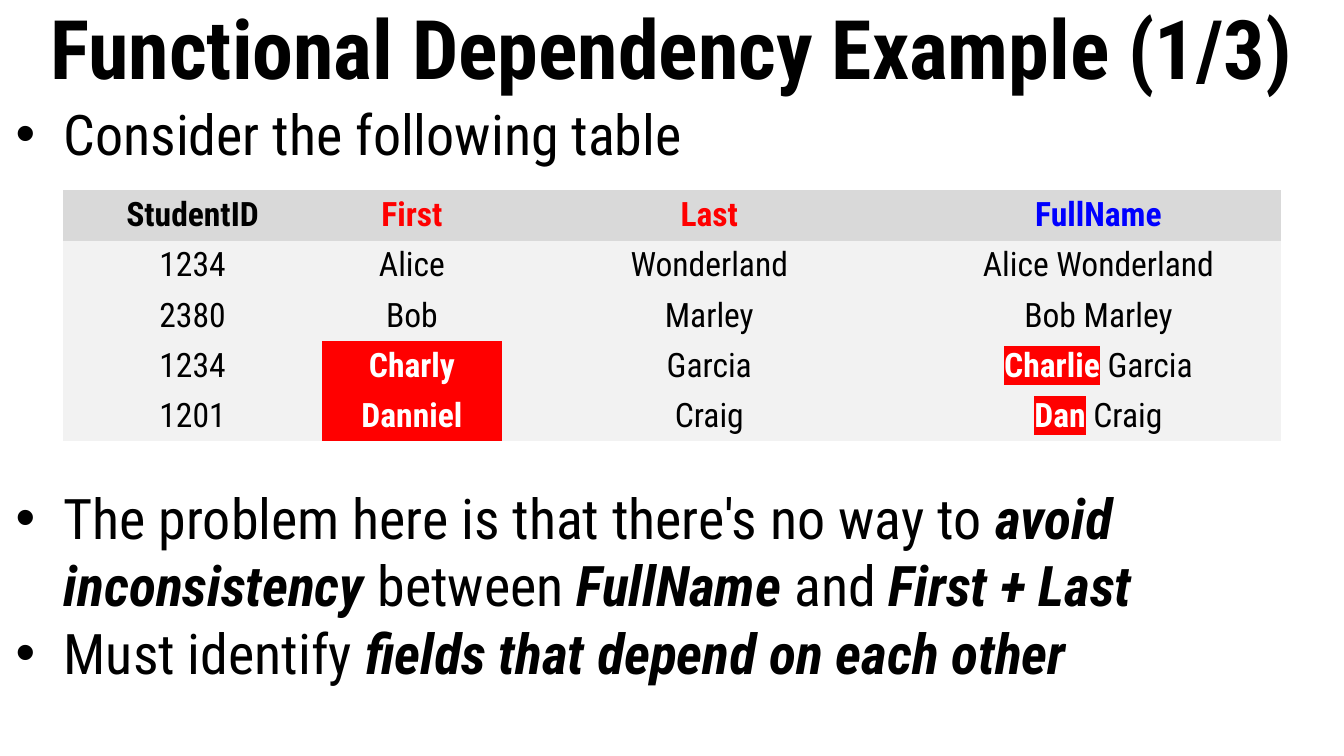
import pptx
import pptx.dml.color
import pptx.enum.text
import pptx.oxml
import pptx.oxml.ns
import pptx.util

Cm = pptx.util.Cm
Pt = pptx.util.Pt
RGB = pptx.dml.color.RGBColor
ALIGN = pptx.enum.text.PP_ALIGN
MIDDLE = pptx.enum.text.MSO_ANCHOR.MIDDLE
qn = pptx.oxml.ns.qn

FONT = "Roboto Condensed"
BLACK = RGB(0x00, 0x00, 0x00)
WHITE = RGB(0xFF, 0xFF, 0xFF)
RED = RGB(0xFF, 0x00, 0x00)
BLUE = RGB(0x00, 0x00, 0xFF)
HEAD = RGB(0xD9, 0xD9, 0xD9)
PALE = RGB(0xF2, 0xF2, 0xF2)
PLAIN = "{2D5ABB26-0587-4C30-8999-92F81FD0307C}"  # table style without grid

WIDTH, HEIGHT = 25.4, 14.29
TOP = 1.75  # height of the title band

# Each bullet: space before in points, then its pieces; odd pieces are stressed
BULLETS = [
    (0, ["Consider the following table"]),
    (170, ["The problem here is that there's no way to ", "avoid inconsistency",
           " between ", "FullName", " and ", "First + Last"]),
    (0, ["Must identify ", "fields that depend on each other"]),
]

COLS = [4.88, 3.41, 7.83, 6.88]
ROW = 0.94
FIELDS = [("StudentID", BLACK), ("First", RED), ("Last", RED), ("FullName", BLUE)]
# Full names are split into a marked part and a plain part
ROWS = [
    ("1234", "Alice", "Wonderland", ("", "Alice Wonderland")),
    ("2380", "Bob", "Marley", ("", "Bob Marley")),
    ("1234", "Charly", "Garcia", ("Charlie", " Garcia")),
    ("1201", "Danniel", "Craig", ("Dan", " Craig")),
]


def write(para, text, size=18, color=BLACK, bold=False, italic=False, mark=None):
    """Add a run of formatted text to a paragraph."""
    run = para.add_run()
    run.text = text
    font = run.font
    font.name, font.size = FONT, Pt(size)
    font.bold, font.italic = bold, italic
    font.color.rgb = color
    if mark is not None:
        light = pptx.oxml.parse_xml(
            '<a:highlight xmlns:a="http://schemas.openxmlformats.org/drawingml/2006/main">'
            f'<a:srgbClr val="{mark}"/></a:highlight>')
        run._r.rPr.find(qn("a:solidFill")).addnext(light)


def place(shape, box):
    shape.left, shape.top, shape.width, shape.height = map(Cm, box)
    shape.text_frame.auto_size = pptx.enum.text.MSO_AUTO_SIZE.NONE


def add_title(slide, box):
    title = slide.shapes.title
    place(title, box)
    title.text_frame.vertical_anchor = MIDDLE
    para = title.text_frame.paragraphs[0]
    para.alignment = ALIGN.CENTER
    write(para, "Functional Dependency Example (1/3)", size=44, bold=True)


def add_list(slide, box):
    body = slide.placeholders[1]
    place(body, box)
    frame = body.text_frame
    for i, (space, parts) in enumerate(BULLETS):
        para = frame.add_paragraph() if i else frame.paragraphs[0]
        para.space_before = Pt(space)
        props = para._p.get_or_add_pPr()
        props.set("marL", str(Cm(0.95)))
        props.set("indent", str(Cm(-0.91)))
        for j, part in enumerate(parts):
            stress = j % 2 == 1
            write(para, part, size=30, bold=stress, italic=stress)


def fill_cell(cell, color):
    """Colour a cell and return its centred paragraph."""
    cell.fill.solid()
    cell.fill.fore_color.rgb = color
    cell.vertical_anchor = MIDDLE
    cell.margin_left = cell.margin_right = Cm(0.25)
    cell.margin_top = cell.margin_bottom = Cm(0.1)
    para = cell.text_frame.paragraphs[0]
    para.alignment = ALIGN.CENTER
    return para


def add_grid(slide, box):
    frame = slide.shapes.add_table(len(ROWS) + 1, len(COLS), *map(Cm, box))
    grid = frame.table
    grid.first_row = grid.horz_banding = False
    grid._tbl.tblPr.find(qn("a:tableStyleId")).text = PLAIN
    for col, width in zip(grid.columns, COLS):
        col.width = Cm(width)

    # Field names
    for c, (name, color) in enumerate(FIELDS):
        write(fill_cell(grid.cell(0, c), HEAD), name, color=color, bold=True)

    # Records; a first name that differs from the full name is marked
    alert = {"color": WHITE, "bold": True, "mark": RED}
    for r, (code, first, last, (wrong, rest)) in enumerate(ROWS, 1):
        write(fill_cell(grid.cell(r, 0), PALE), code)
        write(fill_cell(grid.cell(r, 1), RED if wrong else PALE), first,
              **(alert if wrong else {}))
        write(fill_cell(grid.cell(r, 2), PALE), last)
        full = fill_cell(grid.cell(r, 3), PALE)
        if wrong:
            write(full, wrong, **alert)
        write(full, rest)


def main():
    deck = pptx.Presentation()
    deck.slide_width, deck.slide_height = Cm(WIDTH), Cm(HEIGHT)
    slide = deck.slides.add_slide(deck.slide_layouts[1])
    add_title(slide, (0, 0, WIDTH, TOP))
    add_list(slide, (0, TOP, WIDTH, HEIGHT - TOP))
    add_grid(slide, (1.2, 3.6, sum(COLS), ROW * (len(ROWS) + 1)))
    deck.save("out.pptx")


if __name__ == "__main__":
    main()
